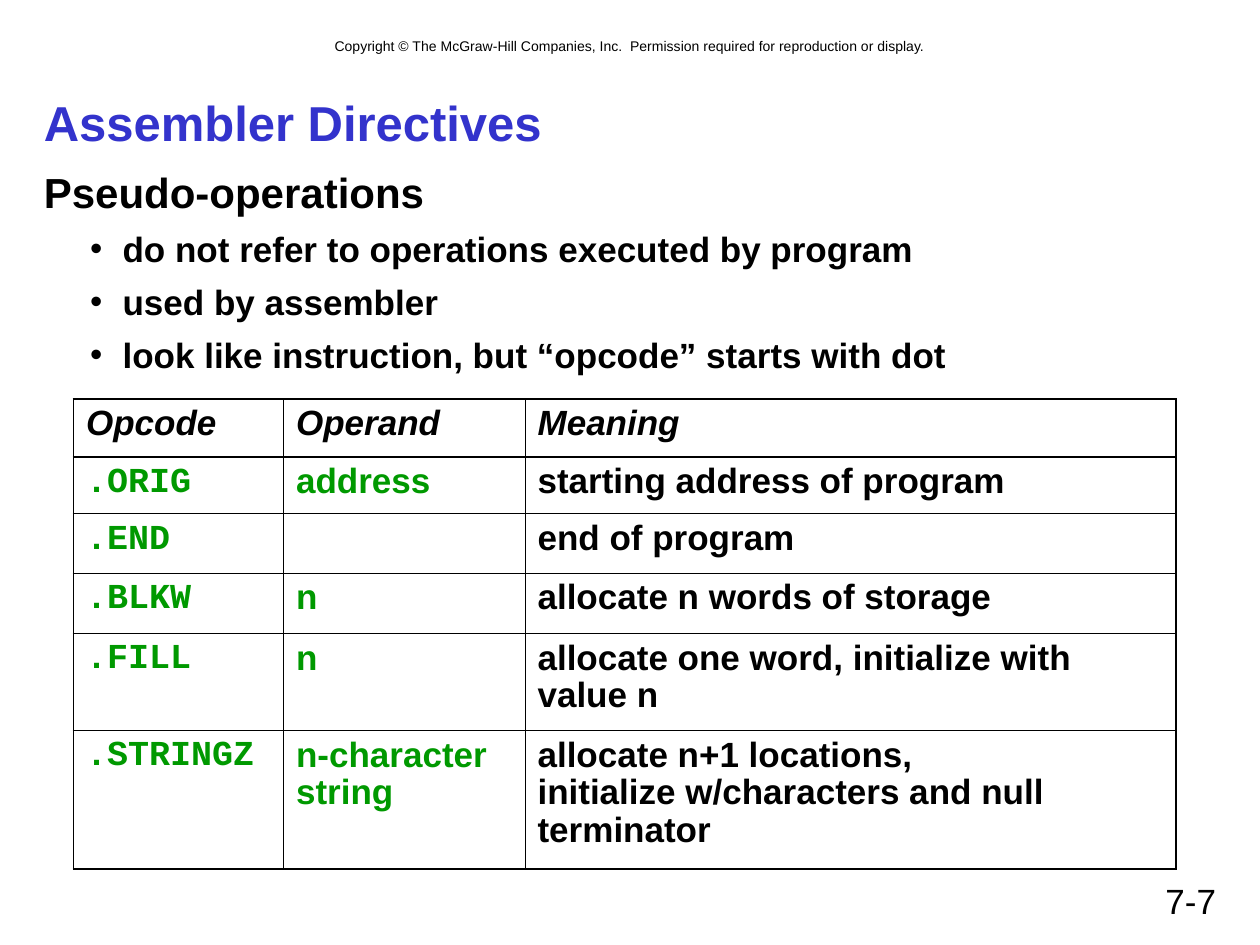
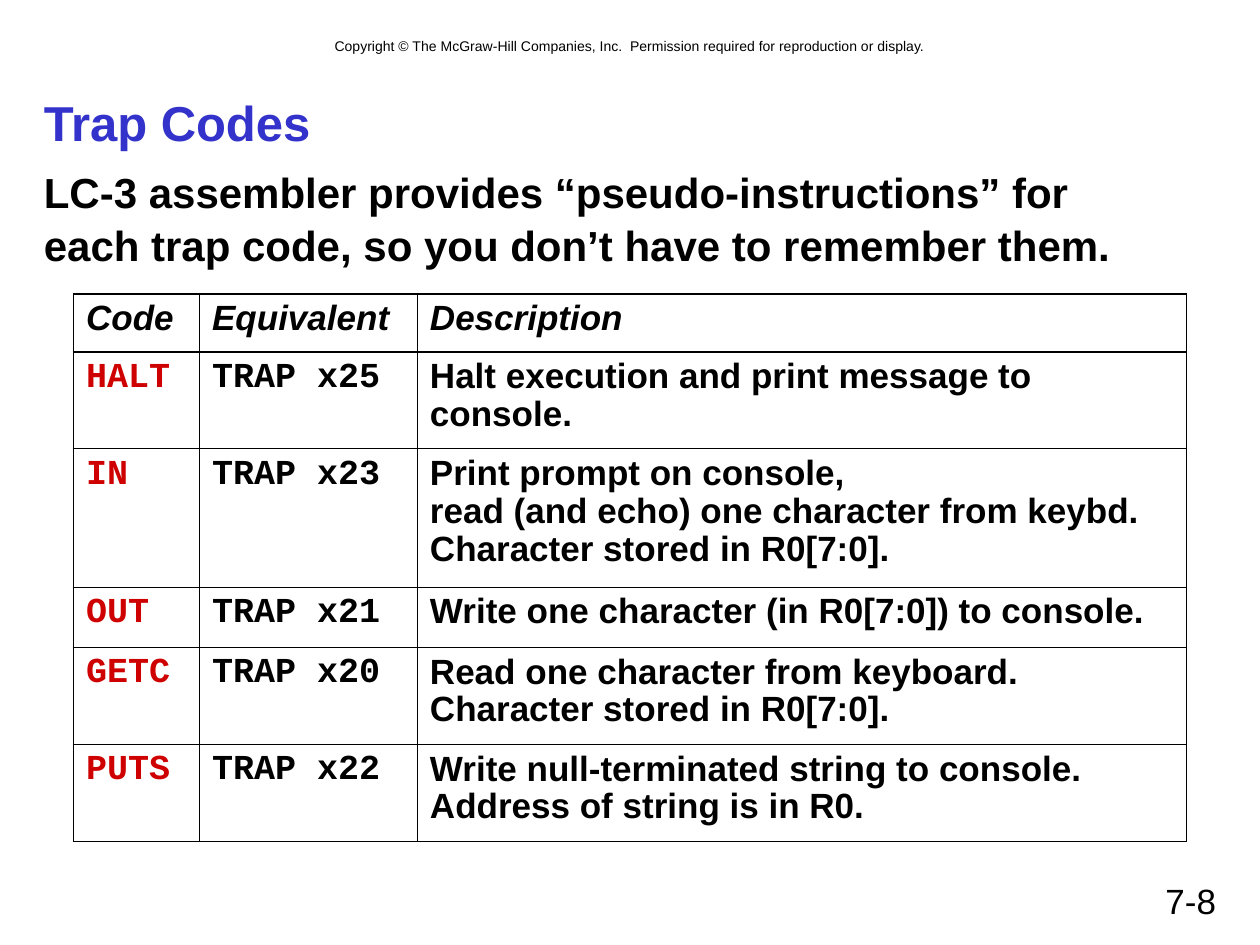
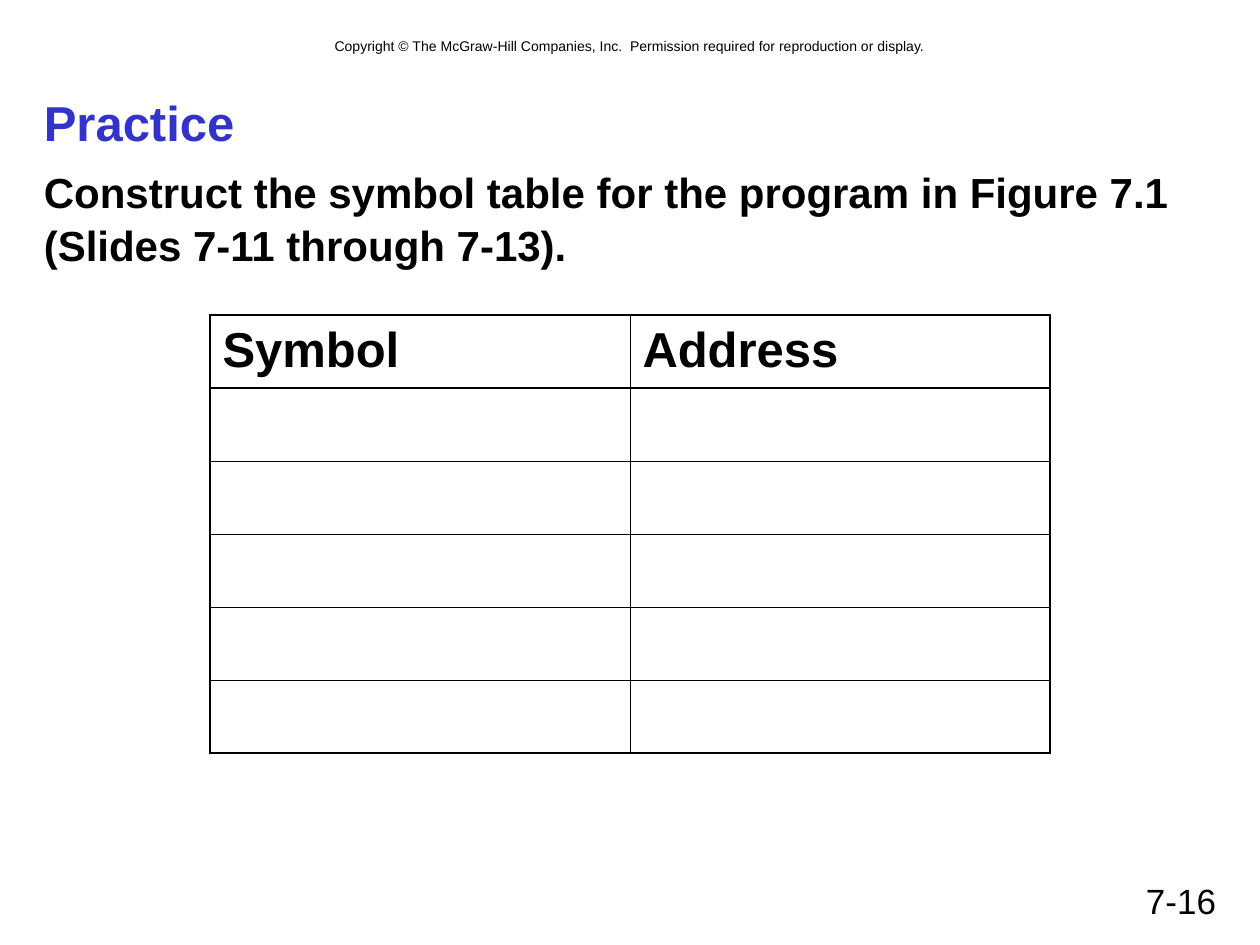
"""Builds three slides on assembler directives, trap codes and a symbol table exercise."""
from lxml import etree
from pptx import Presentation
from pptx.dml.color import RGBColor
from pptx.enum.text import MSO_ANCHOR, PP_ALIGN
from pptx.oxml.ns import qn
from pptx.util import Pt

TOP, MIDDLE = MSO_ANCHOR.TOP, MSO_ANCHOR.MIDDLE
LEFT, CENTER, RIGHT = PP_ALIGN.LEFT, PP_ALIGN.CENTER, PP_ALIGN.RIGHT
BLACK = RGBColor(0x00, 0x00, 0x00)
BLUE = RGBColor(0x33, 0x33, 0xCC)
GREEN = RGBColor(0x00, 0x99, 0x00)
RED = RGBColor(0xCE, 0x00, 0x00)
SANS, MONO = "Arial", "Courier New"
BODY_SPACING, TABLE_SPACING = 1.05, 0.97
THICK, THIN = 1.08, 0.45

COPYRIGHT = ("Copyright © The McGraw-Hill Companies, Inc.  "
             "Permission required for reproduction or display.")

SLIDES = [
    {
        "number": "7-7",
        "title": "Assembler Directives",
        "lead": "Pseudo-operations",
        "bullets": [
            "do not refer to operations executed by program",
            "used by assembler",
            "look like instruction, but “opcode” starts with dot",
        ],
        "body_height": 128,
        "table": {
            "corner": (42, 228),
            "widths": (120, 138, 372),
            "heights": (33, 32.5, 34, 34.5, 55.5, 79),
            "header": {"size": 20, "italic": True, "anchor": TOP},
            "columns": ((MONO, GREEN), (SANS, GREEN), (SANS, BLACK)),
            "rows": [
                ("Opcode", "Operand", "Meaning"),
                (".ORIG", "address", "starting address of program"),
                (".END", "", "end of program"),
                (".BLKW", "n", "allocate n words of storage"),
                (".FILL", "n", "allocate one word, initialize with value n"),
                (".STRINGZ", "n-character\nstring",
                 "allocate n+1 locations,\ninitialize w/characters and null terminator"),
            ],
        },
    },
    {
        "number": "7-8",
        "title": "Trap Codes",
        "lead": "LC-3 assembler provides “pseudo-instructions” for\n"
                "each trap code, so you don’t have to remember them.",
        "bullets": [],
        "body_height": 390,
        "table": {
            "corner": (42, 168),
            "widths": (72, 124.5, 439.5),
            "heights": (33, 55.5, 79, 34.5, 55.5, 55.5),
            "header": {"size": 20, "italic": True, "anchor": TOP},
            "columns": ((MONO, RED), (MONO, BLACK), (SANS, BLACK)),
            "rows": [
                ("Code", "Equivalent", "Description"),
                ("HALT", "TRAP x25", "Halt execution and print message to console."),
                ("IN", "TRAP x23", "Print prompt on console,\n"
                 "read (and echo) one character from keybd.\nCharacter stored in R0[7:0]."),
                ("OUT", "TRAP x21", "Write one character (in R0[7:0]) to console."),
                ("GETC", "TRAP x20",
                 "Read one character from keyboard.\nCharacter stored in R0[7:0]."),
                ("PUTS", "TRAP x22",
                 "Write null-terminated string to console.\nAddress of string is in R0."),
            ],
        },
    },
    {
        "number": "7-16",
        "title": "Practice",
        "lead": "Construct the symbol table for the program in Figure 7.1\n"
                "(Slides 7-11 through 7-13).",
        "bullets": [],
        "body_height": 390,
        "table": {
            "corner": (120, 180),
            "widths": (240, 240),
            "heights": (41.7,) * 6,
            "header": {"size": 28, "italic": False, "anchor": MIDDLE},
            "columns": ((SANS, BLACK), (SANS, BLACK)),
            "rows": [("Symbol", "Address")] + [("", "")] * 5,
        },
    },
]


def write(para, text, size, color=BLACK, font=SANS, bold=True, italic=False,
          align=LEFT, spacing=BODY_SPACING):
    """Fill a paragraph, with a line break at each newline."""
    para.alignment = align
    para.line_spacing = spacing
    for index, line in enumerate(text.split("\n")):
        if index:
            para.add_line_break()
        span = para.add_run()
        span.text = line
        span.font.name = font
        span.font.size = Pt(size)
        span.font.bold = bold
        span.font.italic = italic
        span.font.color.rgb = color


def add_box(page, left, top, width, height, anchor=TOP):
    """Add an empty wrapping text box and return its frame."""
    box = page.shapes.add_textbox(Pt(left), Pt(top), Pt(width), Pt(height))
    frame = box.text_frame
    frame.word_wrap = True
    frame.vertical_anchor = anchor
    return frame


def add_bullet(frame, text):
    """Append a bulleted paragraph to a frame."""
    para = frame.add_paragraph()
    props = para._p.get_or_add_pPr()
    props.set("marL", str(Pt(45)))
    props.set("indent", str(-Pt(18.5)))
    etree.SubElement(props, qn("a:buFont"), typeface=SANS)
    etree.SubElement(props, qn("a:buChar"), char="•")
    para.space_before = Pt(5)
    write(para, text, 20)


def set_borders(cell, weights):
    """Draw the left, right, top and bottom borders of a cell."""
    props = cell._tc.get_or_add_tcPr()
    for side, weight in zip("LRTB", weights):
        line = etree.SubElement(props, qn(f"a:ln{side}"), w=str(Pt(weight)))
        fill = etree.SubElement(line, qn("a:solidFill"))
        etree.SubElement(fill, qn("a:srgbClr"), val=str(BLACK))


def add_grid(page, grid):
    """Add a table with a heavy frame and a heavy rule under its header."""
    rows, widths, heights = grid["rows"], grid["widths"], grid["heights"]
    header = grid["header"]
    left, top = grid["corner"]
    table = page.shapes.add_table(len(rows), len(widths), Pt(left), Pt(top),
                                  Pt(sum(widths)), Pt(sum(heights))).table
    table.first_row = table.horz_banding = False
    for column, width in zip(table.columns, widths):
        column.width = Pt(width)
    for r, (row, height) in enumerate(zip(rows, heights)):
        table.rows[r].height = Pt(height)
        for c, text in enumerate(row):
            cell = table.cell(r, c)
            heavy = (c == 0, c == len(widths) - 1, r < 2, r in (0, len(rows) - 1))
            set_borders(cell, [THICK if edge else THIN for edge in heavy])
            cell.fill.background()
            para = cell.text_frame.paragraphs[0]
            if r == 0:
                cell.vertical_anchor = header["anchor"]
                write(para, text, header["size"], italic=header["italic"],
                      spacing=TABLE_SPACING)
            elif text:
                font, color = grid["columns"][c]
                write(para, text, 20, color, font, spacing=TABLE_SPACING)


def add_page(deck, content):
    """Add one slide with its shared lines, body text and table."""
    page = deck.slides.add_slide(deck.slide_layouts[6])
    notice = add_box(page, 48, 18, 624, 17)
    write(notice.paragraphs[0], COPYRIGHT, 8, bold=False, align=CENTER, spacing=1.0)
    number = add_box(page, 516, 498, 186, 30)
    write(number.paragraphs[0], content["number"], 20, bold=False, align=RIGHT)
    title = add_box(page, 18, 48, 684, 42, MIDDLE)
    write(title.paragraphs[0], content["title"], 28, BLUE)
    body = add_box(page, 18, 90, 684, content["body_height"])
    write(body.paragraphs[0], content["lead"], 24)
    for text in content["bullets"]:
        add_bullet(body, text)
    add_grid(page, content["table"])


def main():
    """Build and save the deck."""
    deck = Presentation()
    deck.slide_width, deck.slide_height = Pt(720), Pt(540)
    for content in SLIDES:
        add_page(deck, content)
    deck.save("out.pptx")


if __name__ == "__main__":
    main()
